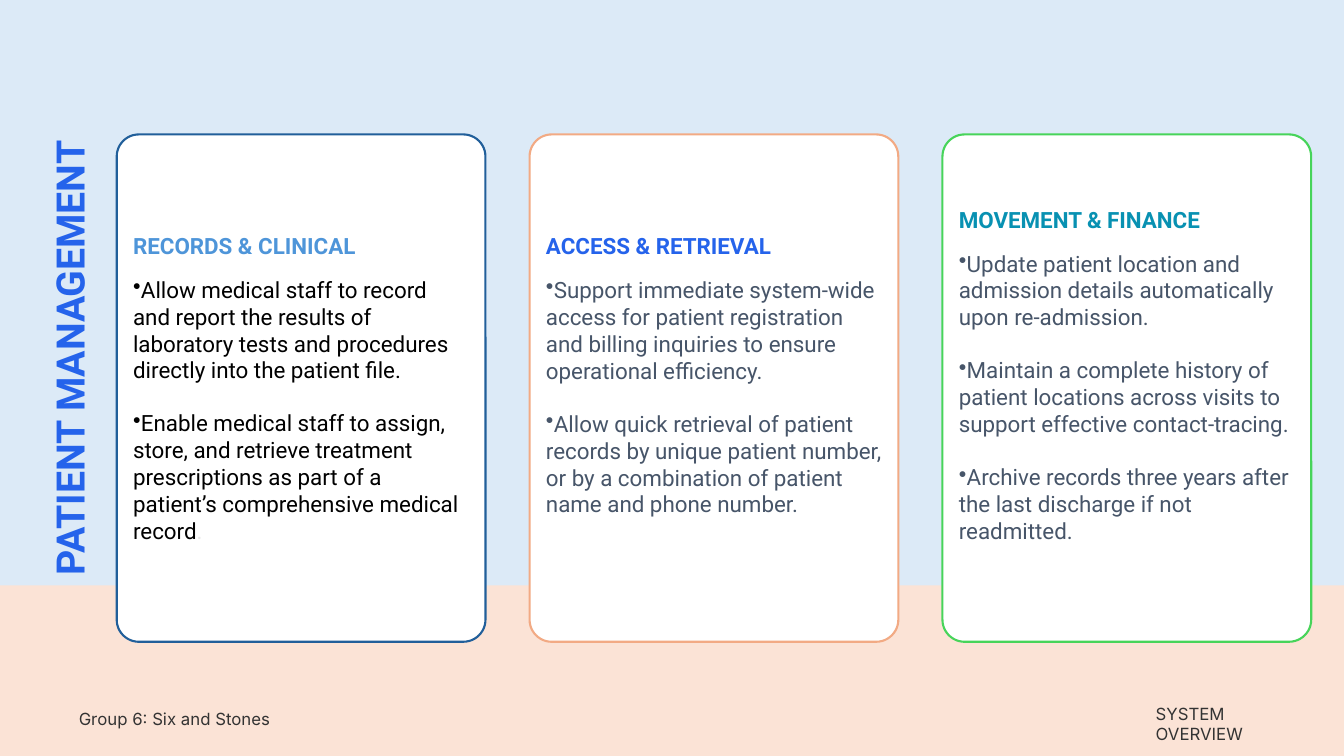
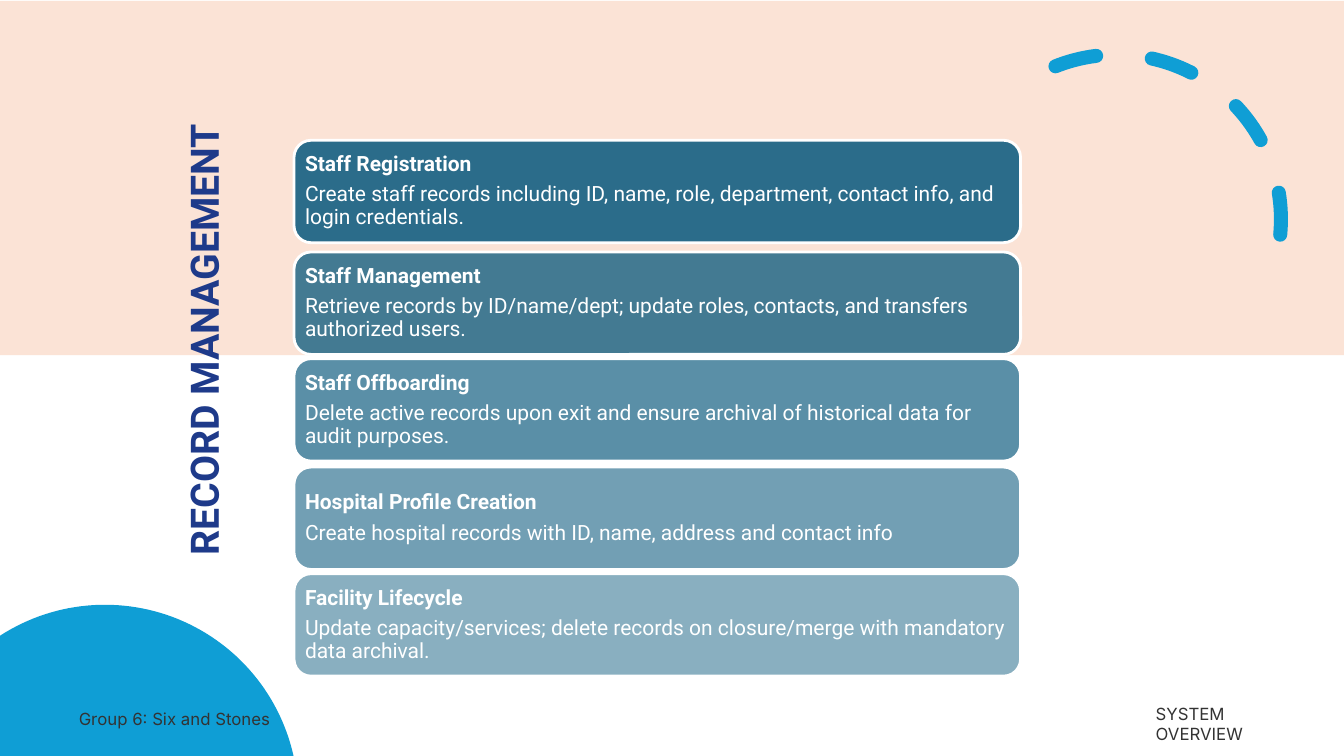
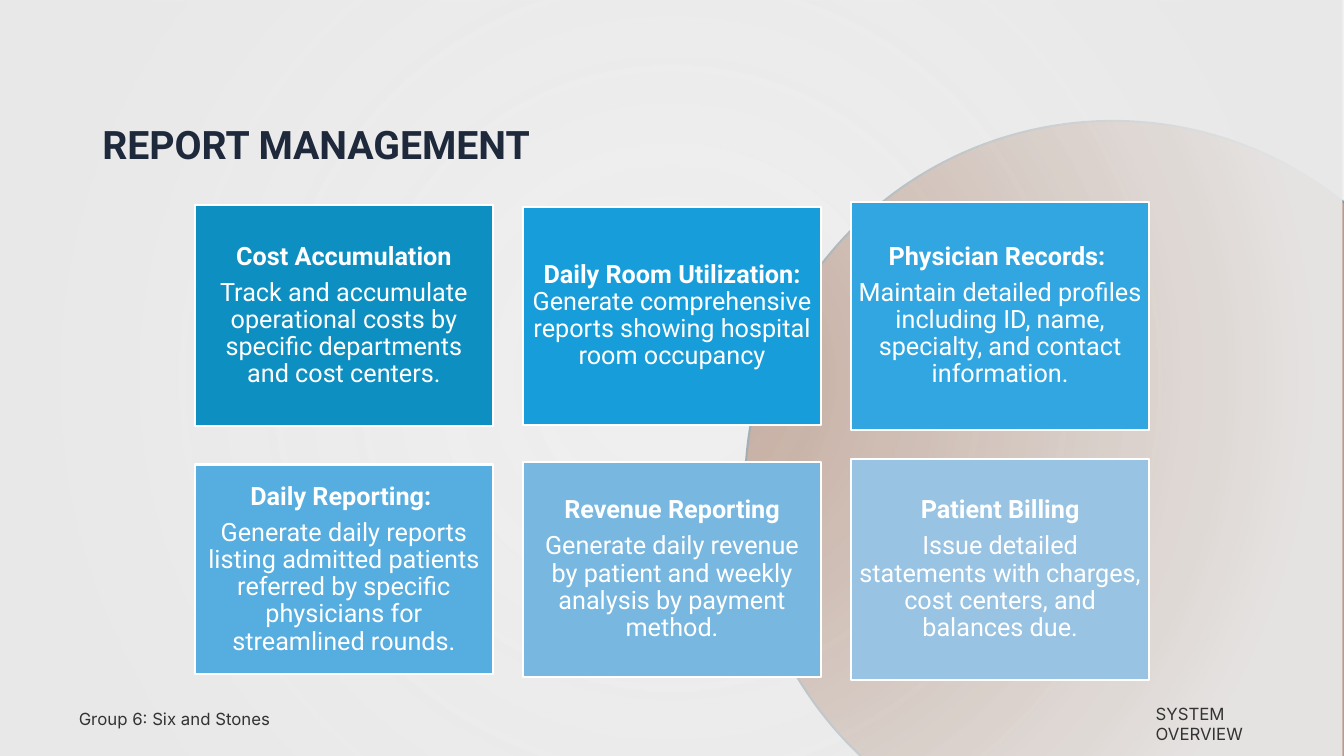
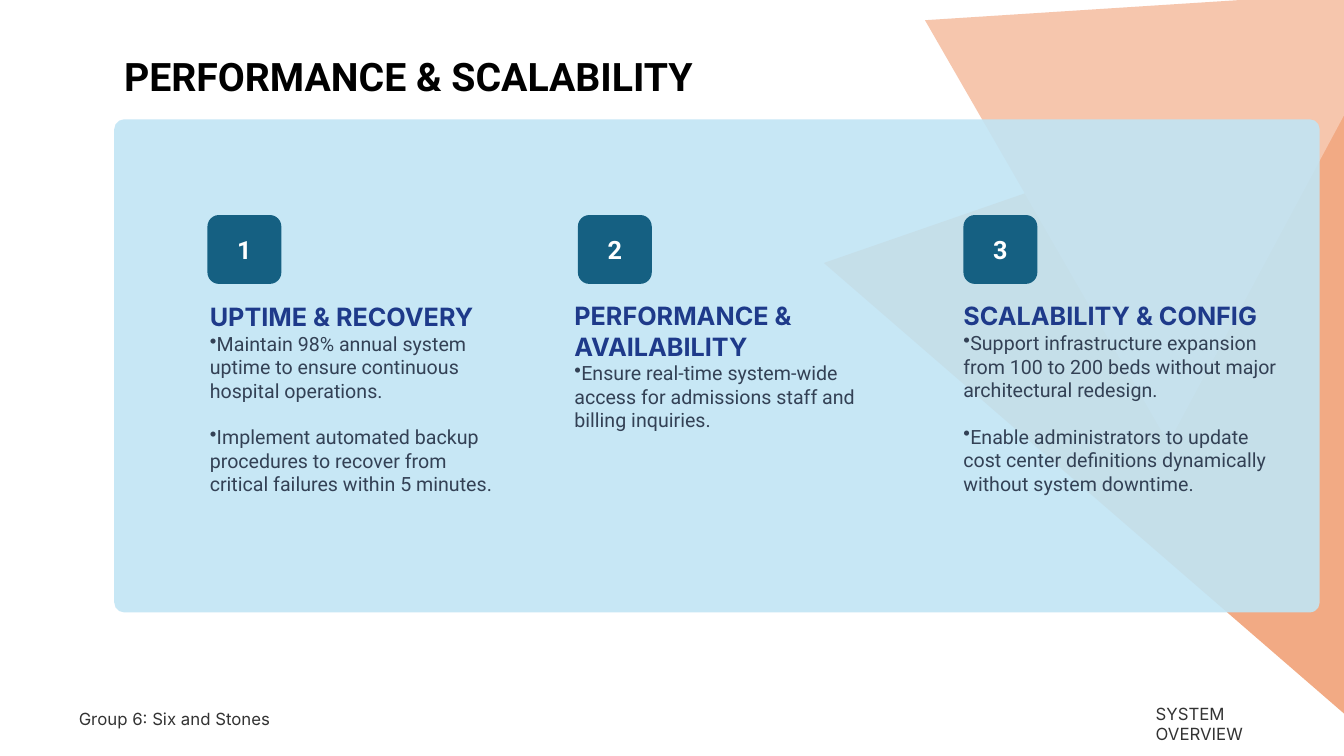
"""Build four system overview slides on a grid of 160 columns by 90 rows."""
from math import asin, acos, cos, pi, sin
from pptx import Presentation
from pptx.dml.color import RGBColor as Rgb
from pptx.enum.dml import MSO_LINE as Dash
from pptx.enum.shapes import MSO_SHAPE as Kind
from pptx.enum.text import MSO_ANCHOR as Anchor, MSO_AUTO_SIZE as Fit, PP_ALIGN as Align
from pptx.oxml import parse_xml
from pptx.oxml.ns import nsdecls, qn
from pptx.util import Inches, Pt

HUES = {
    "white": "FFFFFF", "black": "000000", "ink": "333333", "sky": "DCEAF7",
    "peach": "FBE3D6", "apricot": "F6C6AD", "orange": "F2AA84", "navy": "1E3A8A",
    "royal": "2563EB", "steel": "215F9A", "azure": "4E95D9", "green": "47D45A",
    "teal": "0891B2", "slate": "475569", "dusk": "334155", "night": "1E293B",
    "mist": "E8E8E8", "cyan": "0F9ED5", "petrol": "156082", "brown": "80350E",
    "deep": "092A39", "pale": "C1E5F5", "tile1": "0E8FC1", "tile2": "179EDA",
    "tile3": "32A6E1", "tile4": "56ADE0", "tile5": "78B7E0", "tile6": "98C3E2",
}
COLS, ROWS = 160, 90
deck = Presentation()
deck.slide_width, deck.slide_height = Inches(13.33), Inches(7.5)
COL, ROW = deck.slide_width / COLS, deck.slide_height / ROWS


def put(page, kind, spot, hue=None, alpha=100, edge=None, thick=1.5, turn=0):
    """Place a shape, or a text box when kind is None, at grid spot (x, y, w, h)."""
    place = [round(n * unit) for n, unit in zip(spot, (COL, ROW, COL, ROW))]
    if kind is None:
        box = page.shapes.add_textbox(*place)
        box.rotation = turn
        return box
    box = page.shapes.add_shape(kind, *place)
    box.rotation = turn
    box.shadow.inherit = False
    if hue:
        box.fill.solid()
        box.fill.fore_color.rgb = Rgb.from_string(HUES[hue])
        if alpha < 100:
            tint = box.element.spPr.find(".//" + qn("a:srgbClr"))
            tint.append(parse_xml(f'<a:alpha {nsdecls("a")} val="{alpha * 1000}"/>'))
    else:
        box.fill.background()
    if edge:
        box.line.color.rgb = Rgb.from_string(HUES[edge])
        box.line.width = Pt(thick)
    else:
        box.line.fill.background()
    return box


def write(box, rows, **frame):
    """Fill a shape with rows of (runs, paragraph format), each run (text, font format)."""
    body = box.text_frame
    for key, val in {"word_wrap": True, **frame}.items():
        setattr(body, key, val)
    for i, (runs, form) in enumerate(rows):
        para = body.paragraphs[0] if i == 0 else body.add_paragraph()
        para.alignment = Align.LEFT
        for key, val in form.items():
            if key != "bullet":
                setattr(para, key, val)
        if form.get("bullet"):
            props = para._p.get_or_add_pPr()
            props.set("marL", "0")
            props.set("indent", "0")
            props.append(parse_xml(f'<a:buChar {nsdecls("a")} char="•"/>'))
        for text, font in runs:
            run = para.add_run()
            run.text = text
            for key, val in font.items():
                if key == "hue":
                    run.font.color.rgb = Rgb.from_string(HUES[val])
                else:
                    setattr(run.font, key, val)


GROW = {"auto_size": Fit.SHAPE_TO_FIT_TEXT}
TITLE = {"name": "Roboto", "size": Pt(28), "bold": True}
FOOT = {"name": "Inter", "size": Pt(12), "hue": "ink"}
FEET = [("SYSTEM OVERVIEW", (136.4, 83.2, 21.1, 3.6)),
        ("Group 6: Six and Stones", (8.2, 83.8, 31.9, 3.6))]

pages = []
for back in ("sky", "white", "white", "white"):
    page = deck.slides.add_slide(deck.slide_layouts[6])
    page.background.fill.solid()
    page.background.fill.fore_color.rgb = Rgb.from_string(HUES[back])
    pages.append(page)
care, staff, report, scale = pages

put(care, Kind.RECTANGLE, (0, 69.7, COLS, 20.3), "peach")
CARDS = [
    ("RECORDS & CLINICAL", "steel", "azure", "black", 0.05, [
        "Allow medical staff to record and report the results of laboratory tests and procedures directly into the patient file.",
        "Enable medical staff to assign, store, and retrieve treatment prescriptions as part of a patient’s comprehensive medical record"]),
    ("ACCESS & RETRIEVAL", "orange", "royal", "slate", 0.31, [
        "Support immediate system-wide access for patient registration and billing inquiries to ensure operational efficiency.",
        "Allow quick retrieval of patient records by unique patient number, or by a combination of patient name and phone number."]),
    ("MOVEMENT & FINANCE", "green", "teal", "slate", 0.31, [
        "Update patient location and admission details automatically upon re-admission.",
        "Maintain a complete history of patient locations across visits to support effective contact-tracing.",
        "Archive records three years after the last discharge if not readmitted."]),
]
for i, (head, edge, hue, ink, foot, points) in enumerate(CARDS):
    card = put(care, Kind.ROUNDED_RECTANGLE, (13.9 + 49.15 * i, 16, 43.9, 60.4), "white", edge=edge)
    card.adjustments[0] = 0.06
    font = {"name": "Roboto", "size": Pt(16)}
    rows = [([(head, {**font, "bold": True, "hue": hue})], {"space_after": Pt(12)})]
    for j, text in enumerate(points):
        rows.append(([(text, {**font, "hue": ink})],
                     {"space_before": Pt(18.75 if j else 0), "bullet": True}))
    if i == 0:
        rows[-1][0].append((".", {**font, "hue": "mist"}))
    write(card, rows, vertical_anchor=Anchor.MIDDLE, margin_bottom=Inches(foot))

put(staff, Kind.RECTANGLE, (0, 0.1, COLS, 42.2), "peach")
arc = put(staff, Kind.ARC, (113.3, 6.5, 39.2, 39.2), edge="cyan", thick=10, turn=66.1)
arc.adjustments[0], arc.adjustments[1] = 144.42, 0
arc.line.dash_style = Dash.DASH
arc.element.spPr.find(qn("a:ln")).set("cap", "rnd")
arc.element.spPr.find(qn("a:xfrm")).set("flipH", "1")

midx, midy, rad, steps = 12.5, 95, 23, 60
first, last = acos(-midx / rad), asin((midy - ROWS) / rad)
turns = [first + (last - first) * n / steps for n in range(steps + 1)]
rim = [((midx + rad * cos(t)) * COL, (midy - rad * sin(t)) * ROW) for t in turns]
pen = staff.shapes.build_freeform(0, round(ROWS * ROW))
pen.add_line_segments([(round(x), round(y)) for x, y in rim])
dome = pen.convert_to_shape()
dome.shadow.inherit = False
dome.fill.solid()
dome.fill.fore_color.rgb = Rgb.from_string(HUES["cyan"])
dome.line.fill.background()

BARS = [
    (16.7, "Staff Registration", "Create staff records including ID, name, role, department, contact info, and login credentials."),
    (30, "Staff Management", "Retrieve records by ID/name/dept; update roles, contacts, and transfers authorized users."),
    (42.7, "Staff Offboarding", "Delete active records upon exit and ensure archival of historical data for audit purposes."),
    (55.6, "Hospital Profile Creation", "Create hospital records with ID, name, address and contact info"),
    (68.3, "Facility Lifecycle", "Update capacity/services; delete records on closure/merge with mandatory data archival."),
]
SIDES = ("margin_left", "margin_top", "margin_right", "margin_bottom")
for i, (top, head, text) in enumerate(BARS):
    bar = put(staff, Kind.ROUNDED_RECTANGLE, (35, top, 86.5, 12.2), "petrol", 90 - 10 * i, "white", 2)
    font = {"name": "Roboto", "size": Pt(15), "hue": "white"}
    form = {"line_spacing": 0.9, "space_after": Pt(5.25)}
    write(bar, [([(head, {**font, "bold": True})], form), ([(text, font)], form)],
          vertical_anchor=Anchor.MIDDLE, **dict.fromkeys(SIDES, Inches(0.06)))

put(report, Kind.FLOWCHART_CONNECTOR, (88.7, 14.4, 87.6, 87.5), "brown", edge="deep")
veil = put(report, Kind.RECTANGLE, (0, 0, COLS, ROWS), "mist")
stops = "".join(
    f'<a:gs pos="{pos}000"><a:srgbClr val="{HUES["mist"]}"><a:alpha val="{alpha}000"/></a:srgbClr></a:gs>'
    for pos, alpha in ((10, 68), (85, 97)))
plain = veil.element.spPr.find(qn("a:solidFill"))
veil.element.spPr.replace(plain, parse_xml(
    f'<a:gradFill {nsdecls("a")} rotWithShape="1"><a:gsLst>{stops}</a:gsLst><a:path path="circle">'
    '<a:fillToRect l="50000" t="50000" r="50000" b="50000"/></a:path></a:gradFill>'))

TILES = [
    (26.3, "Cost Accumulation", "Track and accumulate operational costs by specific departments and cost centers."),
    (26, "Daily Room Utilization:", " Generate comprehensive reports showing hospital room occupancy"),
    (27.1, "Physician Records: ", "Maintain detailed profiles including ID, name, specialty, and contact information."),
    (25, "Daily Reporting: ", "Generate daily reports listing admitted patients referred by specific physicians for streamlined rounds."),
    (25.6, "Revenue Reporting", "Generate daily revenue by patient and weekly analysis by payment method."),
    (26.4, "Patient Billing", "Issue detailed statements with charges, cost centers, and balances due."),
]
for i, (high, head, text) in enumerate(TILES):
    row, col = divmod(i, 3)
    spot = (23.2 + 39.06 * col, 37.6 + 30.2 * row - high / 2, 35.5, high)
    tile = put(report, Kind.RECTANGLE, spot, f"tile{i + 1}", edge="white")
    font = {"name": "Roboto", "size": Pt(18), "hue": "white"}
    form = {"alignment": Align.CENTER, "line_spacing": 0.9, "space_after": Pt(6.3)}
    runs = [(head, {**font, "bold": True}), (text, font)]
    rows = [(runs, form)] if i == 1 else [([run], form) for run in runs]
    write(tile, rows, vertical_anchor=Anchor.MIDDLE, **dict.fromkeys(SIDES, Inches(0.07)))

put(scale, Kind.ISOSCELES_TRIANGLE, (112.2, -6.6, 87.5, 75.8), "orange", turn=40.9)
put(scale, Kind.ISOSCELES_TRIANGLE, (101.2, -10.6, 61.3, 49.3), "apricot", turn=298.2)
panel = put(scale, Kind.ROUNDED_RECTANGLE, (13.6, 14.2, 143.5, 58.7), "pale", 90)
panel.adjustments[0] = 0.02
GOALS = [
    (24.7, (23.8, 35.3, 36.7, 24.6), "UPTIME & RECOVERY", [
        "Maintain 98% annual system uptime to ensure continuous hospital operations.",
        "Implement automated backup procedures to recover from critical failures within 5 minutes."]),
    (68.8, (67.2, 35.2, 40.4, 19.8), "PERFORMANCE & AVAILABILITY", [
        "Ensure real-time system-wide access for admissions staff and billing inquiries."]),
    (114.7, (113.5, 35.2, 40.4, 24.6), "SCALABILITY & CONFIG", [
        "Support infrastructure expansion from 100 to 200 beds without major architectural redesign.",
        "Enable administrators to update cost center definitions dynamically without system downtime."]),
]
for i, (left, spot, head, points) in enumerate(GOALS):
    badge = put(scale, Kind.ROUNDED_RECTANGLE, (left, 25.6, 8.8, 8.2), "petrol")
    font = {"name": "Roboto", "size": Pt(18), "bold": True, "hue": "white"}
    write(badge, [([(str(i + 1), font)], {"alignment": Align.CENTER})], vertical_anchor=Anchor.MIDDLE)
    rows = [([(head, {**font, "name": "Inter", "hue": "navy"})], {})]
    for j, text in enumerate(points):
        rows.append(([(text, {"name": "Roboto", "size": Pt(14), "hue": "dusk"})],
                     {"space_before": Pt(16.4 if j else 0), "bullet": True}))
    write(put(scale, None, spot), rows, **GROW)

HEADS = [
    ("PATIENT MANAGEMENT", "royal", (-31.8, 26.3, 80, 6.8), 270),
    ("RECORD MANAGEMENT", "navy", (-15.8, 23.9, 80, 6.8), 270),
    ("REPORT MANAGEMENT", "night", (11, 13.7, 80, 6.8), 0),
    ("PERFORMANCE & SCALABILITY", "black", (13.6, 5.6, 90.4, 6.8), 0),
]
for page, (head, hue, spot, turn) in zip(pages, HEADS):
    write(put(page, None, spot, turn=turn), [([(head, {**TITLE, "hue": hue})], {})], **GROW)
    for text, spot in FEET:
        write(put(page, None, spot), [([(text, FOOT)], {})], **GROW)

deck.save("out.pptx")
